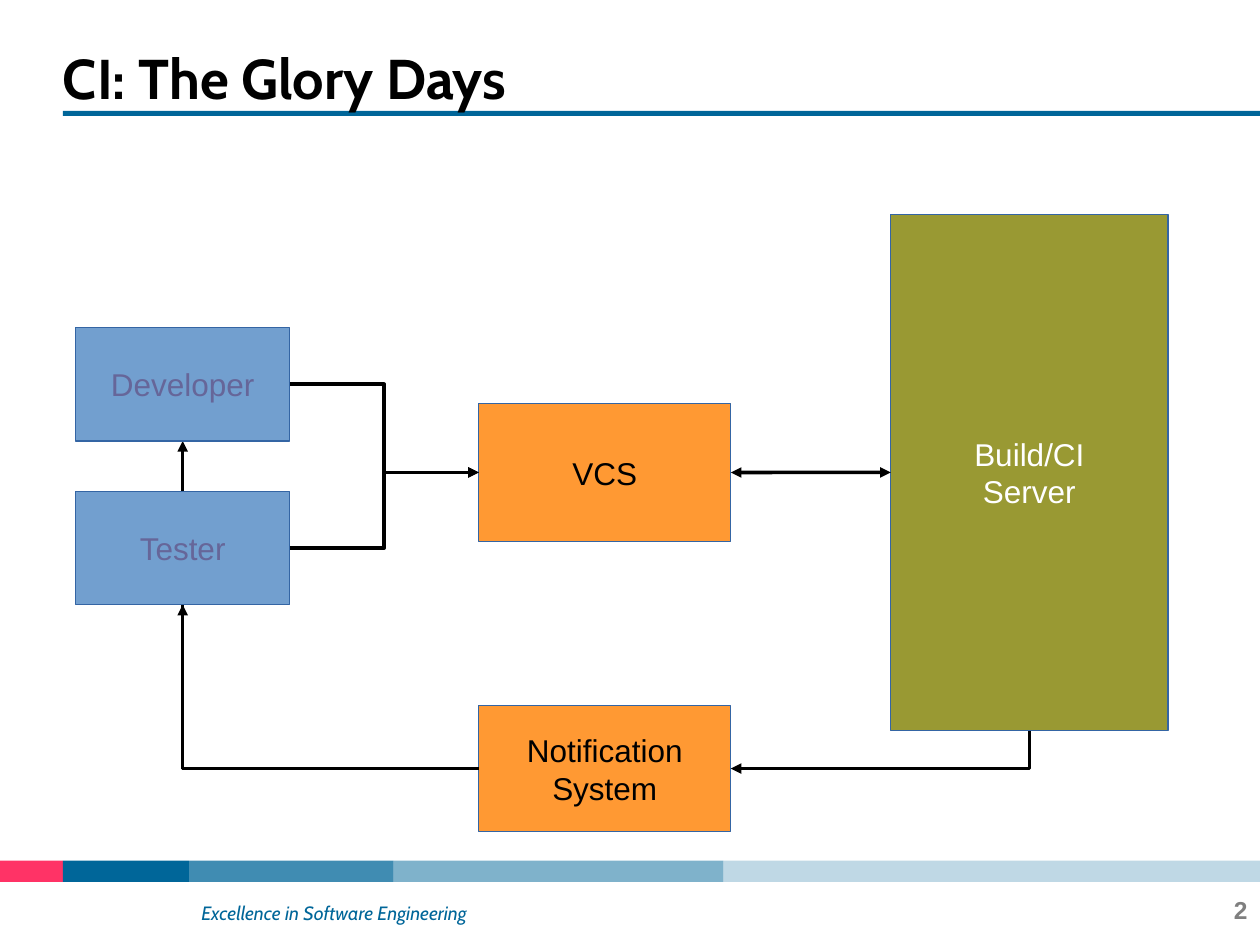
from pptx import Presentation
from pptx.dml.color import RGBColor
from pptx.enum.shapes import MSO_CONNECTOR, MSO_SHAPE
from pptx.enum.text import MSO_ANCHOR, PP_ALIGN
from pptx.oxml.ns import qn
from pptx.oxml.xmlchemy import OxmlElement
from pptx.util import Inches, Pt

COLORS = {
    "black": "000000",
    "white": "FFFFFF",
    "pink": "FF3366",
    "teal": "006699",
    "outline": "3465A4",
    "blue": "729FCF",
    "purple": "666699",
    "orange": "FF9933",
    "olive": "999933",
    "gray": "7F7F7F",
}
TOP, LEFT, BOTTOM, RIGHT = range(4)


def color(name):
    return RGBColor.from_string(COLORS[name])


def add_rectangle(slide, box, fill, opacity=100):
    shape = slide.shapes.add_shape(MSO_SHAPE.RECTANGLE, *map(Inches, box))
    shape.shadow.inherit = False
    shape.fill.solid()
    shape.fill.fore_color.rgb = color(fill)
    shape.line.fill.background()
    if opacity < 100:
        alpha = OxmlElement("a:alpha")
        alpha.set("val", str(opacity * 1000))
        shape._element.spPr.find(qn("a:solidFill"))[0].append(alpha)
    return shape


def format_text(text_frame, size, font_color, font="Arial", align=PP_ALIGN.LEFT,
                bold=False, italic=False):
    for paragraph in text_frame.paragraphs:
        paragraph.alignment = align
        for run in paragraph.runs:
            run.font.name = font
            run.font.size = Pt(size)
            run.font.bold = bold
            run.font.italic = italic
            run.font.color.rgb = color(font_color)


def add_text(slide, box, text, margins=(0, 0), anchor=MSO_ANCHOR.TOP, **style):
    text_frame = slide.shapes.add_textbox(*map(Inches, box)).text_frame
    text_frame.word_wrap = True
    text_frame.vertical_anchor = anchor
    text_frame.margin_left = text_frame.margin_right = Inches(margins[0])
    text_frame.margin_top = text_frame.margin_bottom = Inches(margins[1])
    text_frame.text = text
    format_text(text_frame, **style)


def add_node(slide, box, text, fill, font_color):
    shape = add_rectangle(slide, box, fill)
    shape.line.color.rgb = color("outline")
    shape.line.width = Pt(0)
    text_frame = shape.text_frame
    text_frame.word_wrap = False
    text_frame.vertical_anchor = MSO_ANCHOR.MIDDLE
    text_frame.text = text
    format_text(text_frame, 18, font_color, align=PP_ALIGN.CENTER)
    return shape


def make_corner(connector, rotation):
    left = min(connector.begin_x, connector.end_x)
    top = min(connector.begin_y, connector.end_y)
    width, height = connector.width, connector.height
    if rotation == 90:
        left, top = left + (width - height) // 2, top + (height - width) // 2
        width, height = height, width
    properties = connector._element.spPr
    properties.find(qn("a:prstGeom")).set("prst", "bentConnector2")
    transform = properties.find(qn("a:xfrm"))
    for flip in ("flipH", "flipV"):
        transform.attrib.pop(flip, None)
    transform.set("rot", str(rotation * 60000))
    connector.left, connector.top = left, top
    connector.width, connector.height = width, height


def add_arrow(slide, source, source_site, target, target_site,
              kind=MSO_CONNECTOR.ELBOW, corner=None, ends=("tailEnd",)):
    connector = slide.shapes.add_connector(kind, 0, 0, 0, 0)
    connector.begin_connect(source, source_site)
    connector.end_connect(target, target_site)
    if corner:
        make_corner(connector, corner)
    connector.line.color.rgb = color("black")
    connector.line.width = Pt(0)
    for end in ends:
        arrowhead = OxmlElement(f"a:{end}")
        arrowhead.set("type", "triangle")
        connector.line._get_or_add_ln().append(arrowhead)
    connector._element.spPr.append(OxmlElement("a:effectLst"))
    return connector


def add_header(slide, left, top, width):
    add_rectangle(slide, (left, top + 0.58, width, 0.04), "teal")
    add_text(slide, (left, top, width, 0.62), "CI: The Glory Days",
             anchor=MSO_ANCHOR.MIDDLE, size=32, font_color="black",
             font="Cabin", bold=True)


def add_footer(slide, left, top):
    bands = [(0.5, "pink", 100), (1, "teal", 100), (1.62, "teal", 75),
             (2.62, "teal", 50), (4.26, "teal", 25)]
    band_left = left
    for width, fill, opacity in bands:
        add_rectangle(slide, (band_left, top, width, 0.17), fill, opacity)
        band_left += width
    add_text(slide, (left + 1.5, top + 0.27, 2.5, 0.52),
             "Excellence in Software Engineering", margins=(0.1, 0.05),
             size=11, font_color="teal", font="Cabin", italic=True)
    add_text(slide, (left + 9.5, top + 0.27, 0.4, 0.3), "2", size=14,
             font_color="gray", align=PP_ALIGN.RIGHT, bold=True)


def add_workflow(slide, left, top):
    middle = left + 3.2
    developer, tester = [
        add_node(slide, (left, top + offset, 1.7, 0.9), role, "blue", "purple")
        for role, offset in (("Developer", 0.9), ("Tester", 2.2))
    ]
    vcs = add_node(slide, (middle, top + 1.5, 2, 1.1), "VCS", "orange", "black")
    server = add_node(slide, (left + 6.47, top, 2.2, 4.1), "Build/CI\vServer",
                      "olive", "white")
    notification = add_node(slide, (middle, top + 3.9, 2, 1),
                            "Notification\nSystem", "orange", "black")

    for person in (developer, tester):
        add_arrow(slide, person, RIGHT, vcs, LEFT)
    add_arrow(slide, vcs, RIGHT, server, LEFT, kind=MSO_CONNECTOR.STRAIGHT,
              ends=("headEnd", "tailEnd"))
    add_arrow(slide, server, BOTTOM, notification, RIGHT, corner=90)
    add_arrow(slide, notification, LEFT, tester, BOTTOM, corner=180)
    behind_tester = add_arrow(slide, notification, LEFT, developer, BOTTOM, corner=180)
    developer._element.addprevious(behind_tester._element)


def main():
    presentation = Presentation()
    presentation.slide_width = Inches(10)
    presentation.slide_height = Inches(7.5)
    slide = presentation.slides.add_slide(presentation.slide_layouts[6])
    add_footer(slide, 0, 6.83)
    add_header(slide, 0.5, 0.3, 9.5)
    add_workflow(slide, 0.6, 1.7)
    presentation.save("out.pptx")


if __name__ == "__main__":
    main()
